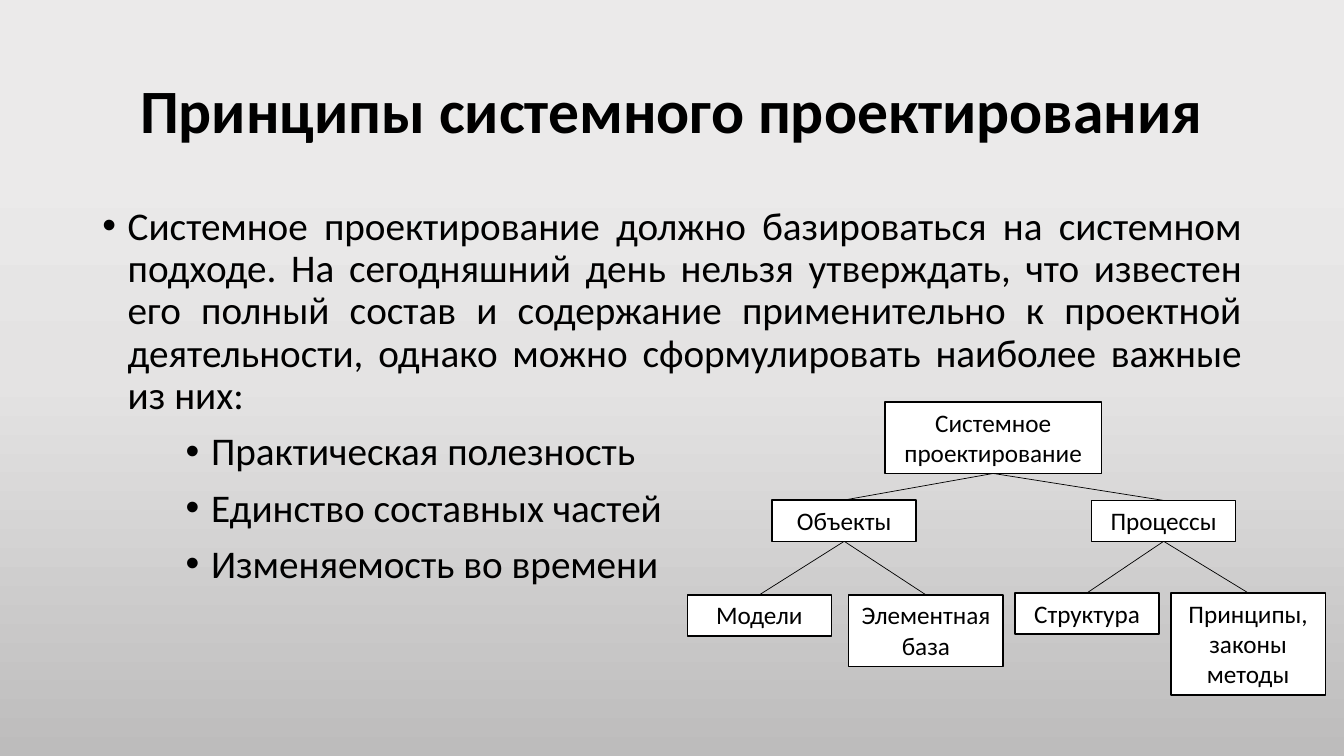
import copy

import pptx
import pptx.dml.color
import pptx.enum.shapes
import pptx.enum.text
import pptx.oxml
import pptx.oxml.ns
import pptx.util

Cm = pptx.util.Cm
Pt = pptx.util.Pt
RGBColor = pptx.dml.color.RGBColor
ALIGN = pptx.enum.text.PP_ALIGN
ANCHOR = pptx.enum.text.MSO_ANCHOR
qn = pptx.oxml.ns.qn

BLACK = RGBColor(0x00, 0x00, 0x00)
WHITE = RGBColor(0xFF, 0xFF, 0xFF)
BACKGROUND_STOPS = [
    (0.2, RGBColor(0xEB, 0xEA, 0xEA)),
    (0.5, RGBColor(0xE4, 0xE3, 0xE3)),
    (1.0, RGBColor(0xBD, 0xBC, 0xBC)),
]
FONT = "Calibri"

TITLE = "Принципы системного проектирования"
INTRO = (
    "Системное проектирование должно базироваться на системном подходе. "
    "На сегодняшний день нельзя утверждать, что известен его полный состав "
    "и содержание применительно к проектной деятельности, однако можно "
    "сформулировать наиболее важные из них:"
)
PRINCIPLES = [
    "Практическая полезность",
    "Единство составных частей",
    "Изменяемость во времени",
]

# Tree nodes: label, parent, then left, top, width, height in cm within the tree
TREE_NODES = [
    ("Системное проектирование", None, 4.98, 0, 5.46, 1.8),
    ("Объекты", "Системное проектирование", 2.14, 2.47, 3.63, 1.04),
    ("Процессы", "Системное проектирование", 10.19, 2.48, 3.63, 1.03),
    ("Модели", "Объекты", 0, 4.86, 3.63, 1.04),
    ("Элементная база", "Объекты", 4.07, 4.86, 3.89, 1.8),
    ("Структура", "Процессы", 8.26, 4.81, 3.63, 1.04),
    ("Принципы, законы методы", "Процессы", 12.19, 4.81, 3.89, 2.57),
]


def format_para(para, size, align, bold=False):
    para.alignment = align
    for span in para.runs:
        span.font.name = FONT
        span.font.size = Pt(size)
        span.font.bold = bold
        span.font.color.rgb = BLACK


def add_bullet(para, indent, hanging):
    properties = para._p.get_or_add_pPr()
    properties.set("marL", str(Cm(indent)))
    properties.set("indent", str(-Cm(hanging)))
    for tag, key, value in (("a:buFont", "typeface", "Arial"), ("a:buChar", "char", "•")):
        bullet = pptx.oxml.parse_xml(f"<{tag} {pptx.oxml.ns.nsdecls('a')}/>")
        bullet.set(key, value)
        properties.append(bullet)


def paint_background(page):
    fill = page.background.fill
    fill.gradient()
    fill.gradient_angle = 270
    stop_list = next(page._element.iter(qn("a:gsLst")))
    stop_list.append(copy.deepcopy(stop_list[0]))
    for stop, (position, color) in zip(fill.gradient_stops, BACKGROUND_STOPS):
        stop.position = position
        stop.color.rgb = color


def add_title(page, left, top, width, height):
    box = page.shapes.add_textbox(Cm(left), Cm(top), Cm(width), Cm(height))
    frame = box.text_frame
    frame.word_wrap = True
    frame.vertical_anchor = ANCHOR.MIDDLE
    frame.text = TITLE
    para = frame.paragraphs[0]
    para.line_spacing = 0.9
    format_para(para, 44, ALIGN.CENTER, bold=True)


def add_body(page, left, top, width, height):
    box = page.shapes.add_textbox(Cm(left), Cm(top), Cm(width), Cm(height))
    frame = box.text_frame
    frame.word_wrap = True
    frame.text = "\n".join([INTRO] + PRINCIPLES)
    for index, para in enumerate(frame.paragraphs):
        is_intro = index == 0
        para.line_spacing = 0.9
        para.space_before = Pt(10)
        format_para(para, 28, ALIGN.JUSTIFY if is_intro else ALIGN.LEFT)
        add_bullet(para, 0.64 if is_intro else 2.74, 0.64)


def add_node(page, label, left, top, width, height):
    node = page.shapes.add_shape(
        pptx.enum.shapes.MSO_SHAPE.RECTANGLE, Cm(left), Cm(top), Cm(width), Cm(height)
    )
    node.shadow.inherit = False
    node.fill.solid()
    node.fill.fore_color.rgb = WHITE
    node.line.color.rgb = BLACK
    node.line.width = Pt(1)
    frame = node.text_frame
    frame.word_wrap = True
    frame.vertical_anchor = ANCHOR.TOP
    frame.text = label
    format_para(frame.paragraphs[0], 18, ALIGN.CENTER)
    return node


def add_branch(page, parent, child):
    branch = page.shapes.add_connector(
        pptx.enum.shapes.MSO_CONNECTOR.STRAIGHT,
        parent.left + parent.width // 2,
        parent.top + parent.height,
        child.left + child.width // 2,
        child.top,
    )
    branch.line.color.rgb = BLACK
    branch.line.width = Pt(0.5)
    branch._element.spPr.append(
        pptx.oxml.parse_xml(f"<a:effectLst {pptx.oxml.ns.nsdecls('a')}/>")
    )


def add_tree(page, left, top):
    nodes = {}
    for label, _, x, y, width, height in TREE_NODES:
        nodes[label] = add_node(page, label, left + x, top + y, width, height)
    for label, parent, *_ in TREE_NODES:
        if parent:
            add_branch(page, nodes[parent], nodes[label])


def main():
    deck = pptx.Presentation()
    deck.slide_width = Cm(33.87)
    deck.slide_height = Cm(19.05)
    page = deck.slides.add_slide(deck.slide_layouts[6])

    paint_background(page)
    add_title(page, 2.33, 1.01, 29.21, 3.68)
    add_body(page, 2.33, 5.07, 29.21, 12.09)
    add_tree(page, 17.32, 10.13)

    deck.save("out.pptx")


if __name__ == "__main__":
    main()
